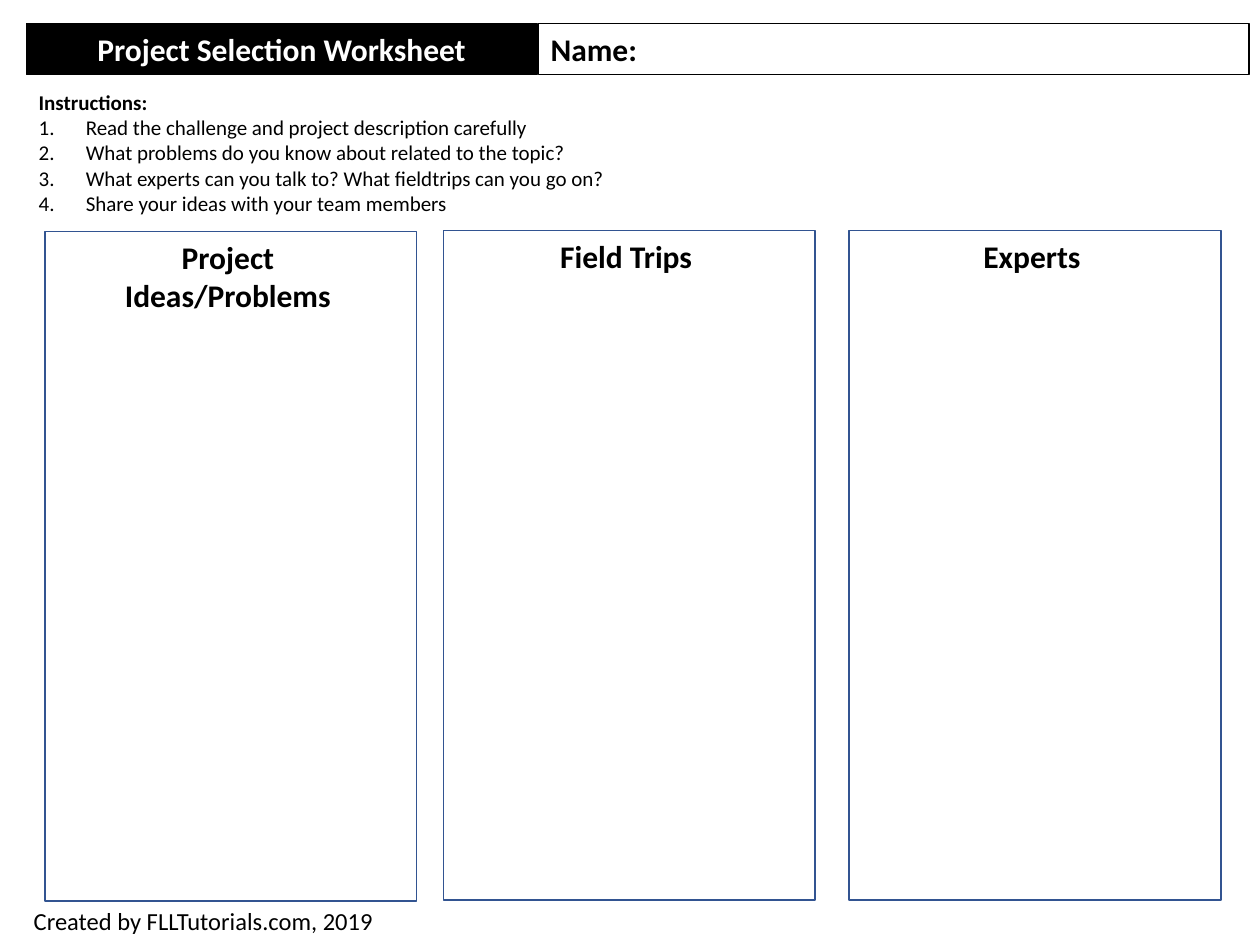
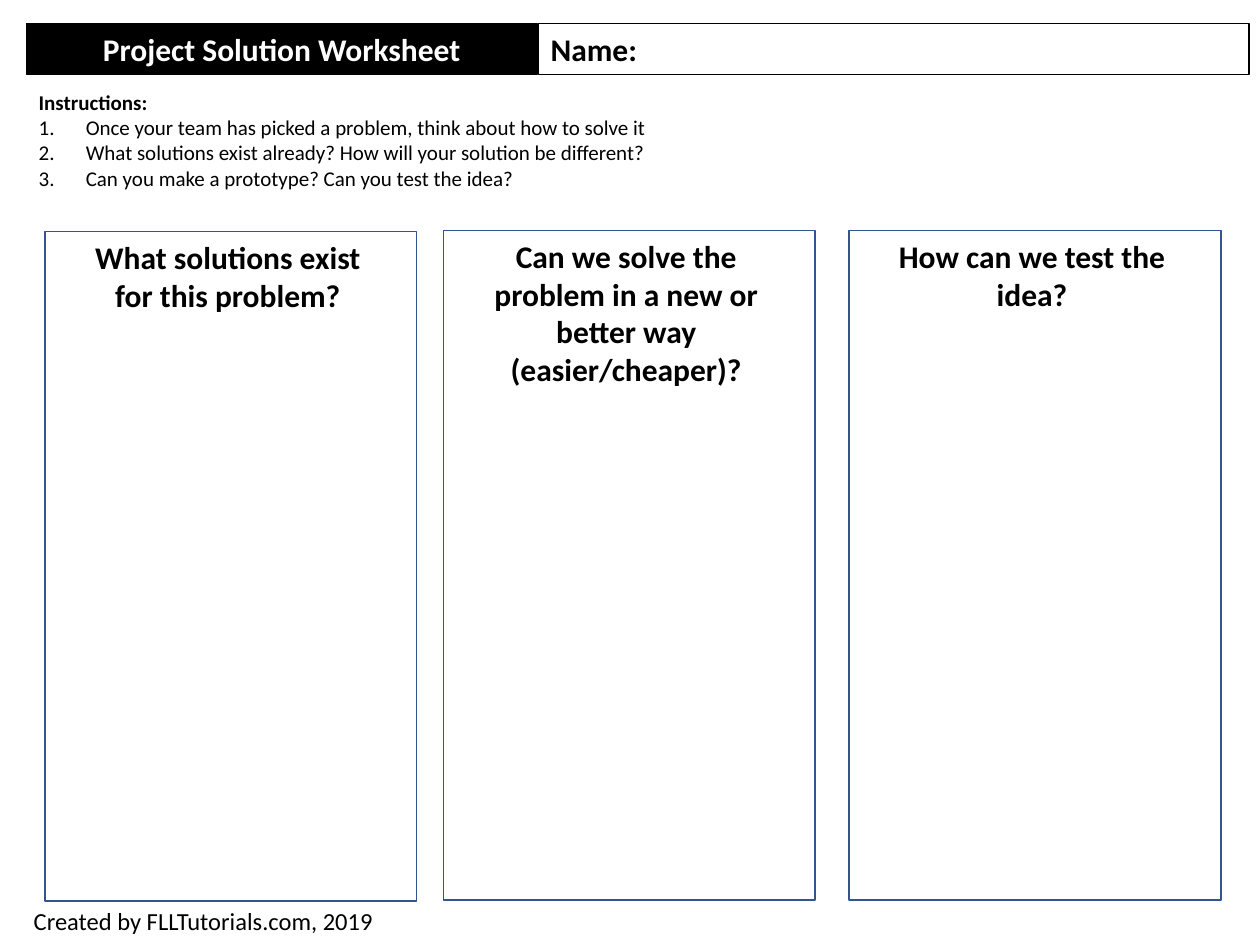
from dataclasses import dataclass

from lxml import etree
from pptx import Presentation
from pptx.dml.color import RGBColor
from pptx.enum.shapes import MSO_SHAPE
from pptx.enum.text import MSO_ANCHOR, MSO_AUTO_SIZE, PP_ALIGN
from pptx.oxml.ns import qn
from pptx.util import Cm, Pt

RECTANGLE = MSO_SHAPE.RECTANGLE
TOP = MSO_ANCHOR.TOP
GROW = MSO_AUTO_SIZE.SHAPE_TO_FIT_TEXT
LEFT, CENTER = PP_ALIGN.LEFT, PP_ALIGN.CENTER

# Each worksheet column: heading and the lines it takes
WORKSHEETS = [
    {
        "title": "Project Selection Worksheet",
        "steps": [
            "Read the challenge and project description carefully",
            "What problems do you know about related to the topic?",
            "What experts can you talk to? What fieldtrips can you go on?",
            "Share your ideas with your team members",
        ],
        "columns": [("Project Ideas/Problems", 2), ("Field Trips", 1), ("Experts", 1)],
    },
    {
        "title": "Project Solution Worksheet",
        "steps": [
            "Once your team has picked a problem, think about how to solve it",
            "What solutions exist already? How will your solution be different?",
            "Can you make a prototype? Can you test the idea?",
        ],
        "columns": [
            ("What solutions exist for this problem?", 2),
            ("Can we solve the problem in a new or better way (easier/cheaper)?", 4),
            ("How can we test the idea?", 2),
        ],
    },
]
NAME_LABEL = "Name:"
INSTRUCTIONS_LABEL = "Instructions:"
CREDIT = "Created by FLLTutorials.com, 2019"


@dataclass(frozen=True)
class Theme:
    font: str = "Calibri"
    ink: RGBColor = RGBColor(0x00, 0x00, 0x00)
    paper: RGBColor = RGBColor(0xFF, 0xFF, 0xFF)
    frame: RGBColor = RGBColor(0x32, 0x54, 0x91)
    heading_size: Pt = Pt(18)
    credit_size: Pt = Pt(14)
    step_size: Pt = Pt(12)
    bar_line: Pt = Pt(0.75)
    frame_line: Pt = Pt(1)


THEME = Theme()
HEADING = {"size": THEME.heading_size, "bold": True}
LABEL = {"size": THEME.step_size, "bold": True}
STEP = {"size": THEME.step_size, "bold": False}
CREDIT_STYLE = {"size": THEME.credit_size, "bold": False}

SLIDE_WIDTH, SLIDE_HEIGHT = Cm(25.4), Cm(19.05)
BAR_LEFT, BAR_TOP, BAR_HEIGHT = Cm(0.53), Cm(0.48), Cm(1.02)
TITLE_WIDTH = Cm(10.3)
NAME_LEFT, NAME_WIDTH = Cm(10.85), Cm(14.33)
STEPS_TOP, STEPS_WIDTH, STEP_INDENT = Cm(1.68), Cm(22.2), Cm(0.95)
CREDIT_LEFT, CREDIT_TOP, CREDIT_WIDTH = Cm(0.43), Cm(18.14), Cm(12.9)
COLUMN_CORNERS = [(Cm(0.91), Cm(4.67)), (Cm(8.94), Cm(4.65)), (Cm(17.12), Cm(4.65))]
COLUMN_WIDTH, COLUMN_HEIGHT = Cm(7.49), Cm(13.49)
HEADING_INSET, HEADING_WIDTH = Cm(0.51), Cm(6.35)
TEXT_PADDING, LINE_FACTOR = Cm(0.25), 1.21


def text_height(lines, size):
    return int(TEXT_PADDING + lines * size * LINE_FACTOR)


def write(paragraph, text, style, color=THEME.ink, align=LEFT):
    paragraph.alignment = align
    run = paragraph.add_run()
    run.text = text
    for attribute, value in {"name": THEME.font, **style}.items():
        setattr(run.font, attribute, value)
    run.font.color.rgb = color


def number(paragraph):
    """Make the paragraph an item of an automatically numbered list."""
    properties = paragraph._p.get_or_add_pPr()
    properties.set("marL", str(STEP_INDENT))
    properties.set("indent", str(-STEP_INDENT))
    etree.SubElement(properties, qn("a:buFont"), typeface="+mj-lt")
    etree.SubElement(properties, qn("a:buAutoNum"), type="arabicPeriod")


def add_box(slide, left, top, width, height, fill, line, line_width):
    box = slide.shapes.add_shape(RECTANGLE, left, top, width, height)
    box.shadow.inherit = False
    box.fill.solid()
    box.fill.fore_color.rgb = fill
    box.line.color.rgb = line
    box.line.width = line_width
    return box


def add_text(slide, left, top, width, lines, size):
    """Add a wrapping text box high enough for the lines; return its frame."""
    frame = slide.shapes.add_textbox(left, top, width, text_height(lines, size)).text_frame
    settings = {"word_wrap": True, "auto_size": GROW, "vertical_anchor": TOP}
    for attribute, value in settings.items():
        setattr(frame, attribute, value)
    return frame


def add_header(slide, title):
    bars = [
        (BAR_LEFT, TITLE_WIDTH, THEME.ink, title, THEME.paper, CENTER),
        (NAME_LEFT, NAME_WIDTH, THEME.paper, NAME_LABEL, THEME.ink, LEFT),
    ]
    for left, width, fill, text, color, align in bars:
        bar = add_box(slide, left, BAR_TOP, width, BAR_HEIGHT, fill, THEME.ink, THEME.bar_line)
        bar.text_frame.word_wrap = True
        write(bar.text_frame.paragraphs[0], text, HEADING, color, align)


def add_instructions(slide, steps):
    frame = add_text(slide, BAR_LEFT, STEPS_TOP, STEPS_WIDTH, len(steps) + 1, THEME.step_size)
    write(frame.paragraphs[0], INSTRUCTIONS_LABEL, LABEL)
    for step in steps:
        paragraph = frame.add_paragraph()
        number(paragraph)
        write(paragraph, step, STEP)


def add_credit(slide):
    frame = add_text(slide, CREDIT_LEFT, CREDIT_TOP, CREDIT_WIDTH, 1, THEME.credit_size)
    write(frame.paragraphs[0], CREDIT, CREDIT_STYLE)


def add_columns(slide, columns):
    for (left, top), (heading, lines) in zip(COLUMN_CORNERS, columns):
        add_box(slide, left, top, COLUMN_WIDTH, COLUMN_HEIGHT,
                THEME.paper, THEME.frame, THEME.frame_line)
        frame = add_text(slide, left + HEADING_INSET, top, HEADING_WIDTH,
                         lines, THEME.heading_size)
        write(frame.paragraphs[0], heading, HEADING, align=CENTER)


def main():
    deck = Presentation()
    deck.slide_width, deck.slide_height = SLIDE_WIDTH, SLIDE_HEIGHT
    blank = deck.slide_layouts[6]
    for worksheet in WORKSHEETS:
        slide = deck.slides.add_slide(blank)
        add_header(slide, worksheet["title"])
        add_instructions(slide, worksheet["steps"])
        add_credit(slide)
        add_columns(slide, worksheet["columns"])
    deck.save("out.pptx")


if __name__ == "__main__":
    main()
